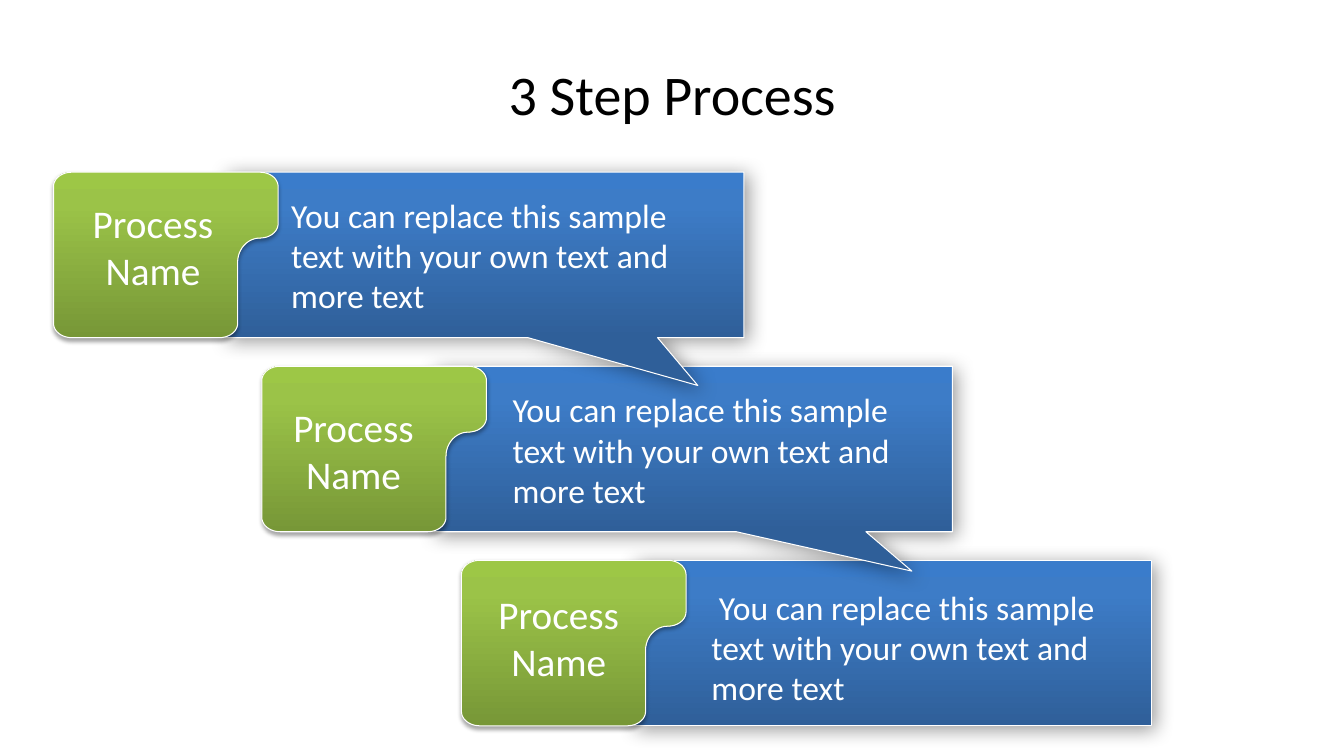
from math import cos, radians, sin

from lxml.etree import SubElement
from pptx import Presentation
from pptx.dml.color import RGBColor
from pptx.enum.shapes import MSO_SHAPE as Preset
from pptx.enum.text import MSO_ANCHOR as Anchor, MSO_AUTO_SIZE as AutoSize, PP_ALIGN as Align
from pptx.oxml.ns import qn
from pptx.util import Cm, Pt

TITLE = "3 Step Process"
LABEL = "Process Name"
BODY = "You can replace this sample text with your own text and more text"

# Lengths in cm; label and body are (dx, dy, width) from the step's corner
STEPS = [
    {"left": 1.35, "pointer": (0.411, 0.789), "indent": 0,
     "label": (0.22, 0.56, 4.57), "body": (5.74, 0.44, 11.07)},
    {"left": 6.6, "pointer": (0.422, 0.738), "indent": 0,
     "label": (0, 0.8, 4.62), "body": (6.07, 0.45, 10.92)},
    {"left": 11.63, "pointer": None, "indent": 0.19,
     "label": (0, 0.64, 4.9), "body": (6.05, 0.54, 10.97)},
]
COLORS = {"text": "FFFFFF", "title": "000000", "outline": "FFFFFF", "shadow": "000000"}
BLUE = [(0, "2F5F99"), (80, "3D7CC7"), (100, "3A7CCB")]
GREEN = [(0, "779737"), (80, "9BC348"), (100, "9DC746")]
# opacity in percent, blur and distance in points, direction in degrees
PANEL_SHADOW = (40, 14, 3, 45)
TAB_SHADOW = (35, 3.1, 1.8, 90)

FONT = "Calibri"
FIRST_TOP, STEP_PITCH = 4.34, 4.89
STEP_HEIGHT = 4.17
PANEL_DX, PANEL_WIDTH = 4.34, 13.06
LABEL_HEIGHT, BODY_HEIGHT = 2.64, 3.33

# Tab outline as elliptical arcs: centre x, centre y, radius x, radius y, start, end
TAB_ARCS = [
    (0.46, 0.36, 0.46, 0.36, 180, 270),
    (5.2, 0.36, 0.46, 0.36, 270, 360),
    (5.2, 1.3, 0.46, 0.36, 0, 90),
    (5.2, 2.27, 0.56, 0.61, 270, 180),
    (4.18, 3.81, 0.46, 0.36, 0, 90),
    (0.46, 3.81, 0.46, 0.36, 90, 180),
]
ARC_SEGMENTS = 12


def add_color(parent, color):
    return SubElement(parent, qn("a:srgbClr"), val=color)


def style_shape(shape, stops, shadow):
    """Give the shape an upward gradient, a thin outline and an outer shadow."""
    shape.fill.gradient()
    shape.fill.gradient_angle = 90
    properties = shape._element.spPr
    stop_list = properties.find(qn("a:gradFill")).find(qn("a:gsLst"))
    for old_stop in list(stop_list):
        stop_list.remove(old_stop)
    for position, color in stops:
        add_color(SubElement(stop_list, qn("a:gs"), pos=str(position * 1000)), color)

    shape.line.color.rgb = RGBColor.from_string(COLORS["outline"])
    shape.line.width = Pt(0.75)

    shape.shadow.inherit = False
    opacity, blur, distance, direction = shadow
    outer = SubElement(
        properties.find(qn("a:effectLst")), qn("a:outerShdw"),
        blurRad=str(Pt(blur)), dist=str(Pt(distance)),
        dir=str(direction * 60000), rotWithShape="0")
    SubElement(add_color(outer, COLORS["shadow"]), qn("a:alpha"), val=str(opacity * 1000))


def add_panel(shapes, left, top, pointer):
    preset = Preset.RECTANGULAR_CALLOUT if pointer else Preset.RECTANGLE
    panel = shapes.add_shape(
        preset, Cm(left + PANEL_DX), Cm(top), Cm(PANEL_WIDTH), Cm(STEP_HEIGHT))
    if pointer:
        panel.adjustments[0], panel.adjustments[1] = pointer
    style_shape(panel, BLUE, PANEL_SHADOW)


def add_tab(shapes, left, top):
    points = []
    for center_x, center_y, radius_x, radius_y, start, end in TAB_ARCS:
        for i in range(ARC_SEGMENTS + 1):
            angle = radians(start + (end - start) * i / ARC_SEGMENTS)
            points.append((Cm(left + center_x + radius_x * cos(angle)),
                           Cm(top + center_y + radius_y * sin(angle))))
    outline = shapes.build_freeform(*points[0])
    outline.add_line_segments(points[1:], close=True)
    style_shape(outline.convert_to_shape(), GREEN, TAB_SHADOW)


def format_text(paragraph, size, color, align):
    paragraph.alignment = align
    for run in paragraph.runs:
        run.font.name = FONT
        run.font.size = Pt(size)
        run.font.color.rgb = RGBColor.from_string(COLORS[color])


def add_text(shapes, text, left, top, width, height, size, align, indent=0):
    frame = shapes.add_textbox(Cm(left), Cm(top), Cm(width), Cm(height)).text_frame
    frame.word_wrap = True
    frame.auto_size = AutoSize.SHAPE_TO_FIT_TEXT
    frame.text = text
    paragraph = frame.paragraphs[0]
    if indent:
        paragraph._p.get_or_add_pPr().set("indent", str(Cm(indent)))
    format_text(paragraph, size, "text", align)


def add_step(slide, index, step):
    left, top = step["left"], FIRST_TOP + index * STEP_PITCH
    shapes = slide.shapes.add_group_shape().shapes
    add_panel(shapes, left, top, step["pointer"])
    add_tab(shapes, left, top)
    dx, dy, width = step["body"]
    add_text(shapes, BODY, left + dx, top + dy, width, BODY_HEIGHT,
             24, Align.LEFT, step["indent"])
    dx, dy, width = step["label"]
    add_text(shapes, LABEL, left + dx, top + dy, width, LABEL_HEIGHT, 28, Align.CENTER)


def main():
    presentation = Presentation()
    presentation.slide_width, presentation.slide_height = Cm(33.87), Cm(19.05)
    slide = presentation.slides.add_slide(presentation.slide_layouts[5])

    title = slide.shapes.title
    title.left, title.top, title.width, title.height = Cm(1.7), Cm(0.76), Cm(30.48), Cm(3.18)
    title.text_frame.text = TITLE
    title.text_frame.vertical_anchor = Anchor.MIDDLE
    format_text(title.text_frame.paragraphs[0], 40, "title", Align.CENTER)

    # Last step first, so that each pointer lies over the next panel
    for index, step in reversed(list(enumerate(STEPS))):
        add_step(slide, index, step)
    presentation.save("out.pptx")


if __name__ == "__main__":
    main()
